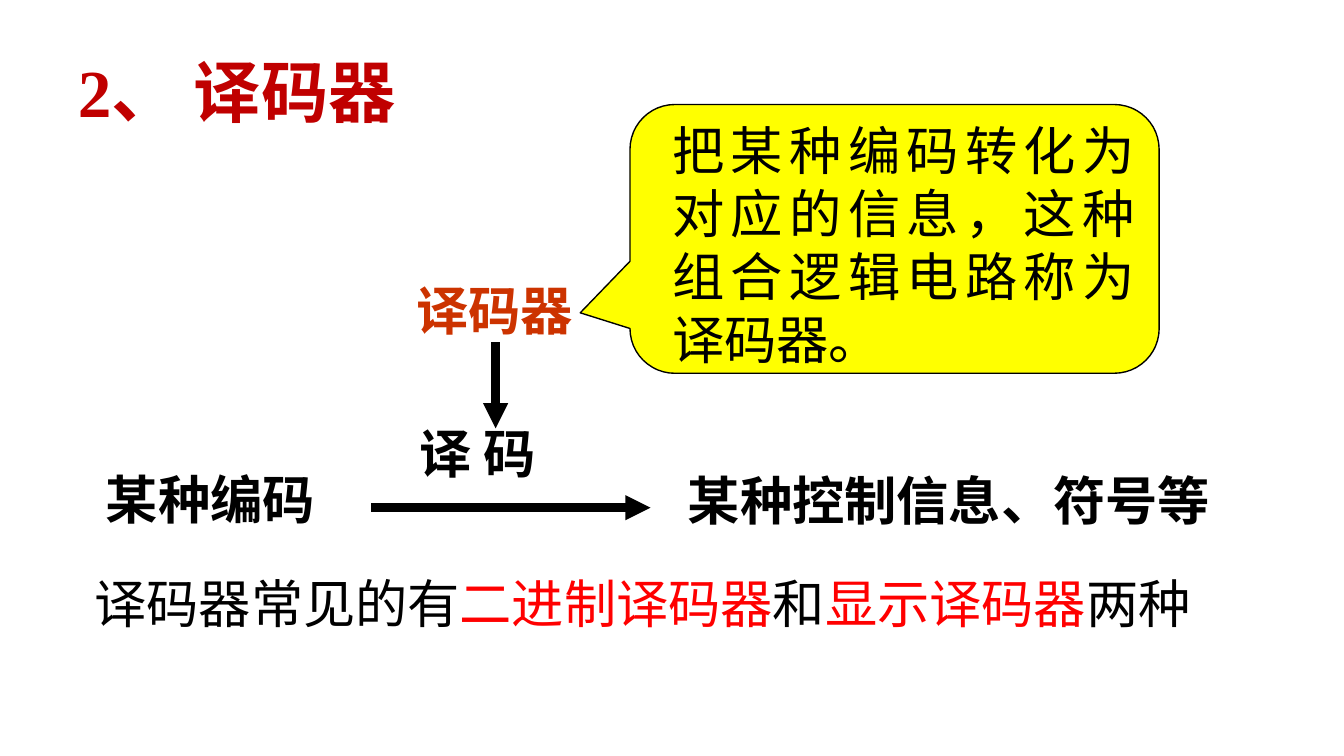
"""Build the slide that explains what a decoder is."""
from lxml import etree
from pptx import Presentation
from pptx.dml.color import RGBColor
from pptx.enum.shapes import MSO_CONNECTOR, MSO_SHAPE
from pptx.enum.text import MSO_ANCHOR, MSO_AUTO_SIZE, PP_ALIGN
from pptx.oxml.ns import qn
from pptx.util import Pt

FONT = "Times New Roman"
BLACK = RGBColor(0, 0, 0)
RED = RGBColor(255, 0, 0)
CRIMSON = RGBColor(192, 0, 0)
RUST = RGBColor(204, 51, 0)
YELLOW = RGBColor(255, 255, 0)
LEFT, JUSTIFY = PP_ALIGN.LEFT, PP_ALIGN.JUSTIFY
TOP = MSO_ANCHOR.TOP
FIT, NONE = MSO_AUTO_SIZE.SHAPE_TO_FIT_TEXT, MSO_AUTO_SIZE.NONE
BUBBLE = MSO_SHAPE.ROUNDED_RECTANGULAR_CALLOUT
STRAIGHT = MSO_CONNECTOR.STRAIGHT


def style(run, size, color, bold):
    run.font.name = FONT
    run.font.size = Pt(size)
    run.font.color.rgb = color
    run.font.bold = bold


def add_text(shapes, box, parts, bold=False, wrap=True):
    frame = shapes.add_textbox(*map(Pt, box)).text_frame
    frame.word_wrap = wrap
    frame.auto_size = FIT
    para = frame.paragraphs[0]
    for text, color in parts:
        run = para.add_run()
        run.text = text
        style(run, 28, color, bold)
    return para


deck = Presentation()
deck.slide_width, deck.slide_height = Pt(720), Pt(405)
slide = deck.slides.add_slide(deck.slide_layouts[5])
shapes = slide.shapes

title = shapes.title
title.left, title.top, title.width, title.height = map(Pt, (34.5, 28, 223, 42.5))
frame = title.text_frame
frame.text = "2、 译码器"
frame.word_wrap = True
frame.auto_size = NONE
frame.vertical_anchor = TOP
para = frame.paragraphs[0]
para.alignment = LEFT
para.line_spacing = 0.9
style(para.runs[0], 36, CRIMSON, True)

labels = [
    ("某种编码", 49.7, 247, 128, BLACK),
    ("某种控制信息、符号等", 361.5, 247.5, 299, BLACK),
    ("译 码", 217.5, 222, 80, BLACK),
    ("译码器", 216, 145.5, 100, RUST),
]
for text, left, top, width, color in labels:
    add_text(shapes, (left, top, width, 41), [(text, color)], bold=True, wrap=False)

arrows = [(199, 272, 348.5, 272), (265.5, 183.5, 265.5, 229.5)]
for ends in arrows:
    arrow = shapes.add_connector(STRAIGHT, *map(Pt, ends))
    arrow.line.color.rgb = BLACK
    arrow.line.width = Pt(4.5)
    edge = arrow.line._get_or_add_ln()
    etree.SubElement(edge, qn("a:tailEnd"), type="triangle")
    etree.SubElement(arrow._element.spPr, qn("a:effectLst"))

group = shapes.add_group_shape()
bubble = group.shapes.add_shape(BUBBLE, Pt(337.5), Pt(56), Pt(283.5), Pt(144))
bubble.shadow.inherit = False
for i, value in enumerate((-0.594, 0.275, 0.167)):
    bubble.adjustments[i] = value
bubble.fill.solid()
bubble.fill.fore_color.rgb = YELLOW
bubble.line.color.rgb = BLACK
bubble.line.width = Pt(0.75)
note = "把某种编码转化为对应的信息，这种组合逻辑电路称为译码器。"
para = add_text(group.shapes, (353, 60, 262, 143), [(note, BLACK)])
para.alignment = JUSTIFY

kinds = [
    ("译码器常见的有", BLACK),
    ("二进制译码器", RED),
    ("和", BLACK),
    ("显示译码器", RED),
    ("两种", BLACK),
]
add_text(shapes, (43.5, 302.5, 619.5, 41), kinds)

deck.save("out.pptx")
